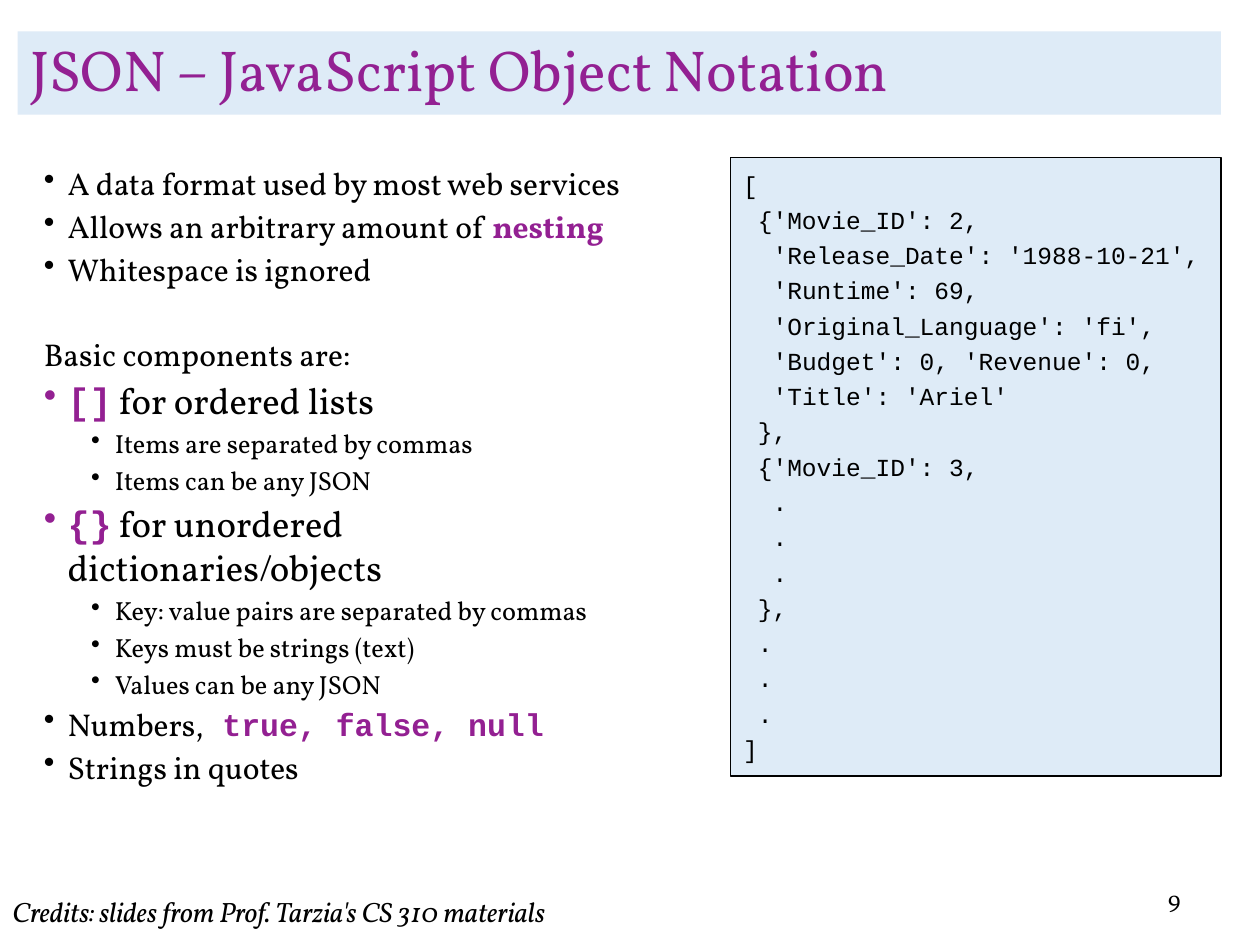
"""Build the slide that introduces JSON beside a sample document."""
import lxml.etree
import pptx
import pptx.dml.color
import pptx.enum.shapes
import pptx.enum.text
import pptx.oxml.ns
import pptx.util

PURPLE, BLACK, PALE = "932092", "000000", "DEEBF7"
SERIF, MONO = "Vollkorn", "Courier New"
ANCHOR = pptx.enum.text.MSO_ANCHOR
PLAIN = {"name": SERIF, "size": 18, "color": BLACK}
CODE = {"name": MONO, "size": 14, "color": BLACK}
KEY = {"color": PURPLE, "bold": True}
MONO_KEY = {"name": MONO, **KEY}

prs = pptx.Presentation()
prs.slide_width, prs.slide_height = pptx.util.Inches(10), pptx.util.Inches(7.5)
s = prs.slides.add_slide(prs.slide_layouts[6])


def add_box(x, y, w, h, fill=None, line=None, anchor=ANCHOR.TOP):
    sp = s.shapes.add_shape(pptx.enum.shapes.MSO_SHAPE.RECTANGLE,
                            *(pptx.util.Inches(v) for v in (x, y, w, h)))
    sp.shadow.inherit = False
    for part, color in ((sp.fill, fill), (sp.line.fill, line)):
        if color:
            part.solid()
            part.fore_color.rgb = pptx.dml.color.RGBColor.from_string(color)
        else:
            part.background()
    if line:
        sp.line.width = pptx.util.Pt(0.75)
    tf = sp.text_frame
    tf.word_wrap, tf.vertical_anchor = True, anchor
    return tf


def add_line(tf, runs, base, indent=0, bullet=False, **spacing):
    p = tf.paragraphs[0] if not tf.paragraphs[0].runs else tf.add_paragraph()
    p.alignment = pptx.enum.text.PP_ALIGN.LEFT
    for key, value in spacing.items():
        setattr(p, key, value)
    pPr = p._p.get_or_add_pPr()
    pPr.set("marL", str(pptx.util.Pt(indent)))
    pPr.set("indent", str(pptx.util.Pt(-13.5 if bullet else 0)))
    if bullet:
        bu = lxml.etree.SubElement(pPr, pptx.oxml.ns.qn("a:buChar"))
        bu.set("char", "•")
    for text, extra in runs:
        r = p.add_run()
        r.text = text
        fmt = {**base, **extra}
        r.font.color.rgb = pptx.dml.color.RGBColor.from_string(fmt.pop("color"))
        fmt["size"] = pptx.util.Pt(fmt["size"])
        for key, value in fmt.items():
            setattr(r.font, key, value)


LEFT, RIGHT, TOP = 0.14, 9.69, 1.25
tf = add_box(LEFT, 0.25, RIGHT - LEFT, 0.66, PALE, anchor=ANCHOR.MIDDLE)
add_line(tf, [("JSON – JavaScript Object Notation", {})],
         {"name": SERIF, "size": 33, "color": PURPLE}, line_spacing=0.9)

points = [
    (0, 18, [("A data format used by most web services", {})]),
    (0, 18, [("Allows an arbitrary amount of ", {}), ("nesting", KEY)]),
    (0, 18, [("Whitespace is ignored", {})]),
    (None, 18, [("Basic components are:", {})]),
    (0, 21, [("[]", MONO_KEY), (" for ordered lists", {})]),
    (1, 15, [("Items are separated by commas", {})]),
    (1, 15, [("Items can be any JSON", {})]),
    (0, 21, [("{}", MONO_KEY), (" for unordered dictionaries/objects", {})]),
    (1, 15, [("Key: value pairs are separated by commas", {})]),
    (1, 15, [("Keys must be strings (text)", {})]),
    (1, 15, [("Values can be any JSON", {})]),
    (0, 18, [("Numbers,", {}), (" true, false, null", MONO_KEY)]),
    (0, 18, [("Strings in quotes", {})]),
]
tf = add_box(0.25, TOP, 5.08, 5.42)
for level, size, runs in points:
    heading = level is None
    add_line(tf, runs, {**PLAIN, "size": size},
             indent=0 if heading else 13.5 + 27 * level, bullet=not heading,
             level=level or 0, space_before=pptx.util.Pt(27 if heading else 3))

tf = add_box(0, 7.05, 5, 0.37)
add_line(tf, [("Credits: slides from Prof. Tarzia's CS 310 materials", {})],
         {**PLAIN, "size": 16, "italic": True})
tf = add_box(9.17, 6.97, 0.58, 0.4)
add_line(tf, [("9", {})], {**PLAIN, "size": 14})

code = [
    (0, "["),
    (1, "{'Movie_ID': 2,"),
    (2, "'Release_Date': '1988-10-21',"),
    (2, "'Runtime': 69,"),
    (2, "'Original_Language': 'fi',"),
    (2, "'Budget': 0, 'Revenue': 0,"),
    (2, "'Title': 'Ariel'"),
    (1, "},"),
    (1, "{'Movie_ID': 3,"),
    *[(2, ".")] * 3,
    (1, "},"),
    *[(1, ".")] * 3,
    (0, "]"),
]
tf = add_box(5.8, TOP, RIGHT - 5.8, 4.91, PALE, BLACK)
for depth, text in code:
    add_line(tf, [(text, {})], CODE, indent=8.4 * depth, line_spacing=1.2)

prs.save("out.pptx")
